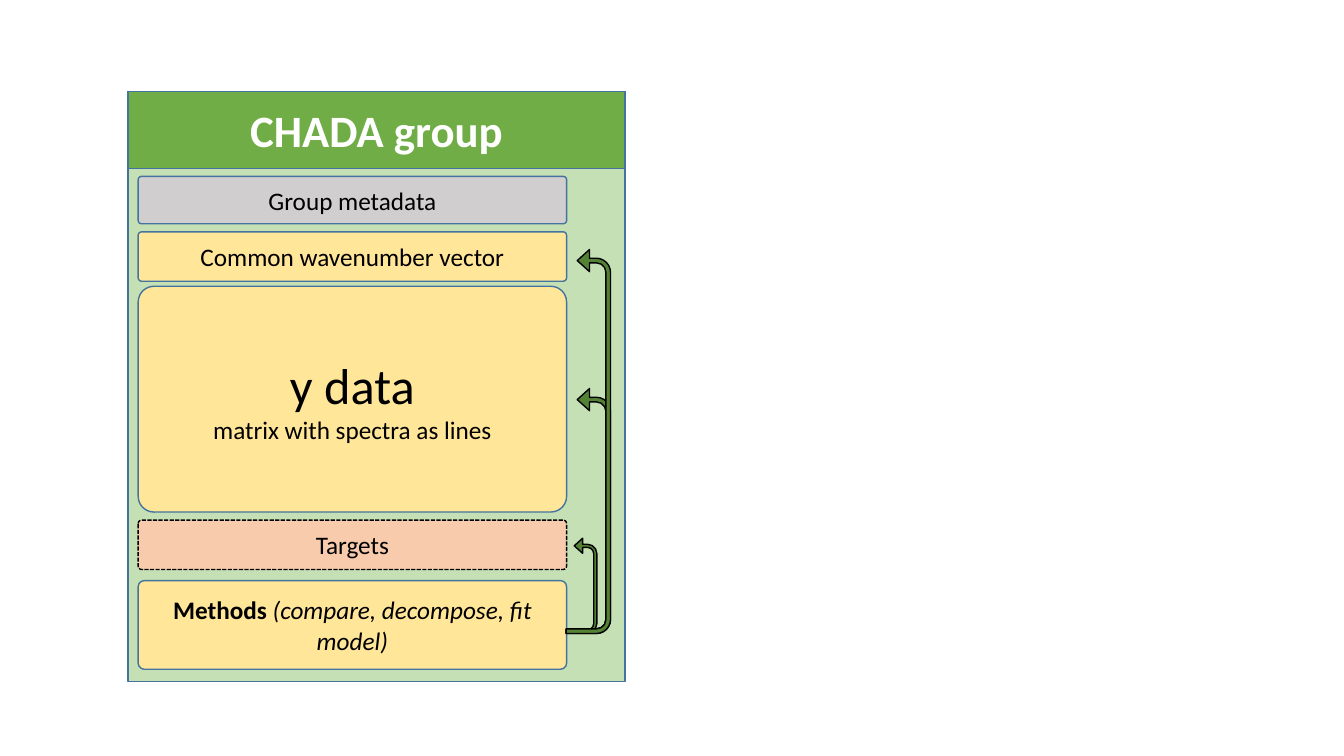
import pptx
import pptx.util
import pptx.dml.color
import pptx.enum.dml
import pptx.enum.shapes
import pptx.enum.text

PX = 9144
KIND = pptx.enum.shapes.MSO_SHAPE


def color(code):
    """Turn a hex string into a colour."""
    return pptx.dml.color.RGBColor.from_string(code)


def write(para, text, size=18, tint="000000", bold=False, italic=False):
    """Add one formatted run to a centred paragraph."""
    para.alignment = pptx.enum.text.PP_ALIGN.CENTER
    run = para.add_run()
    run.text = text
    font = run.font
    font.name = "Calibri"
    font.size = pptx.util.Pt(size)
    font.bold = bold
    font.italic = italic
    font.color.rgb = color(tint)


class Board:
    """Hold the style and the current slide."""

    edge = "43739E"
    left, width = 137, 425
    gold = "FFE699"

    def __init__(self, slide):
        """Keep the slide to draw on."""
        self.slide = slide

    def shape(self, kind, x, y, w, h, fill, edge=edge):
        """Add a filled and outlined preset shape."""
        item = self.slide.shapes.add_shape(kind, x * PX, y * PX, w * PX, h * PX)
        item.shadow.inherit = False
        item.fill.solid()
        item.fill.fore_color.rgb = color(fill)
        item.line.color.rgb = color(edge)
        item.line.width = pptx.util.Pt(1)
        return item

    def label(self, item, *lines):
        """Write lines, each a list of (text, format) runs, in a shape."""
        frame = item.text_frame
        frame.word_wrap = True
        frame.vertical_anchor = pptx.enum.text.MSO_ANCHOR.MIDDLE
        for i, line in enumerate(lines):
            para = frame.add_paragraph() if i else frame.paragraphs[0]
            for text, form in line:
                write(para, text, **form)

    def block(self, y, h, fill, *lines, edge=edge):
        """Add a rounded block of the stack."""
        item = self.shape(KIND.ROUNDED_RECTANGLE, self.left, y, self.width, h, fill, edge)
        item.adjustments[0] = 0.07
        self.label(item, *lines)
        return item

    def arrow(self, span, depth):
        """Add a U-turn arrow rising by span from the methods block."""
        foot, side = 628, self.left + self.width
        x = side + (depth - span) // 2
        y = foot - (span + depth) // 2
        item = self.shape(KIND.U_TURN_ARROW, x, y, span, depth, "548235", "000000")
        for i, value in enumerate((0.104, 0.25, 0.277, 0.318, 0.75)):
            item.adjustments[i] = value
        item.rotation = 270
        item.element.spPr.xfrm.set("flipV", "1")


def main():
    """Build and save the slide."""
    deck = pptx.Presentation()
    deck.slide_width, deck.slide_height = 1333 * PX, 750 * PX
    board = Board(deck.slides.add_slide(deck.slide_layouts[6]))

    board.shape(KIND.RECTANGLE, 127, 91, 493, 585, "C5E0B4")
    head = board.shape(KIND.RECTANGLE, 127, 91, 493, 76, "70AD47")
    board.label(head, [("CHADA group", dict(size=32, tint="FFFFFF", bold=True))])

    board.block(175, 47, "D0CECE", [("Group metadata", {})])
    board.block(576, 88, board.gold, [
        ("Methods", dict(bold=True)),
        (" (compare, decompose, fit model)", dict(italic=True)),
    ])
    board.arrow(94, 30)
    board.arrow(243, 44)
    board.block(230, 49, board.gold, [("Common wavenumber vector", {})])
    board.block(284, 224, board.gold,
                [("y data", dict(size=36))],
                [("matrix with spectra as lines", {})])
    goal = board.block(516, 49, "F8CBAD", [("Targets", {})], edge="000000")
    goal.line.dash_style = pptx.enum.dml.MSO_LINE.SQUARE_DOT
    board.arrow(381, 44)

    deck.save("out.pptx")


if __name__ == "__main__":
    main()
